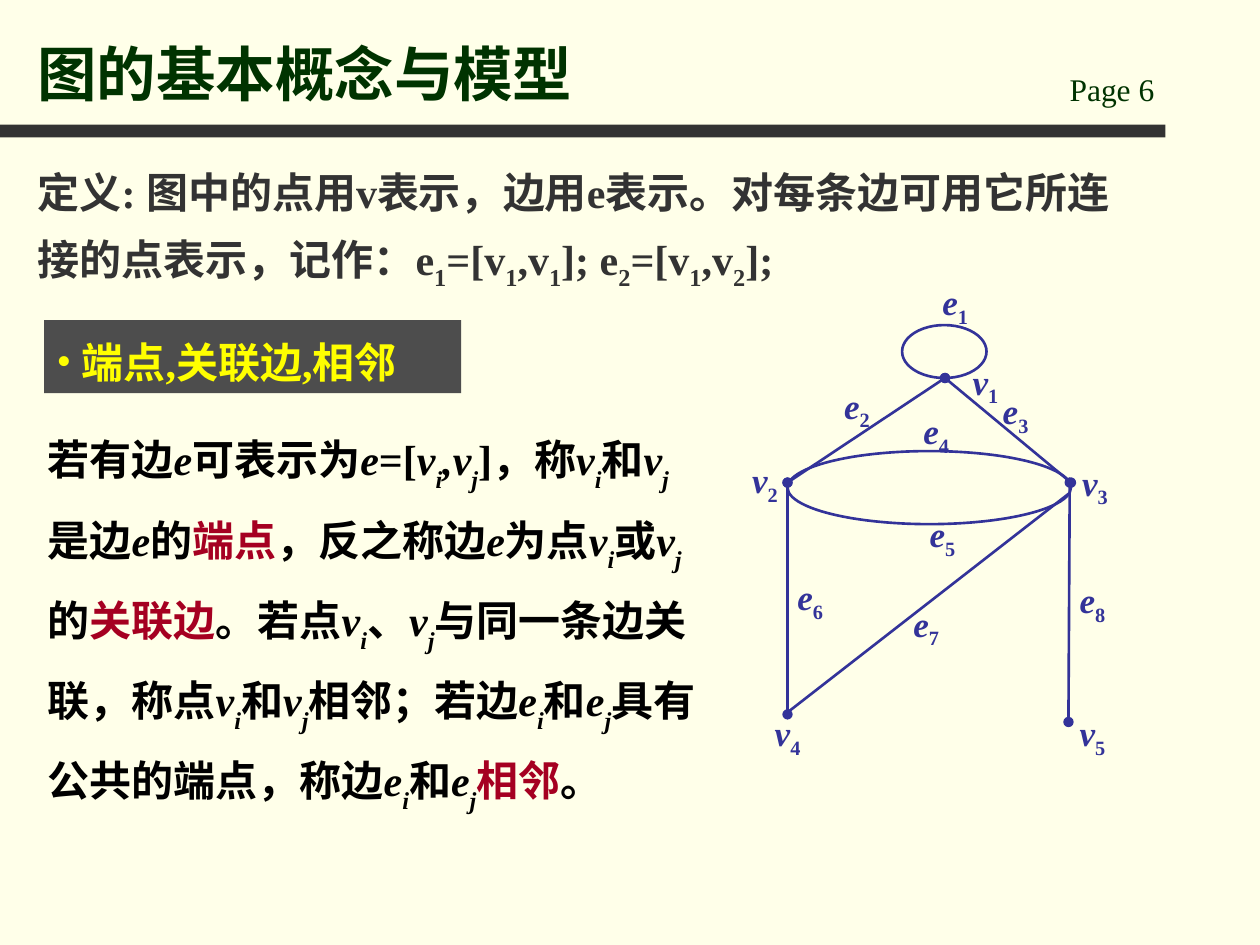
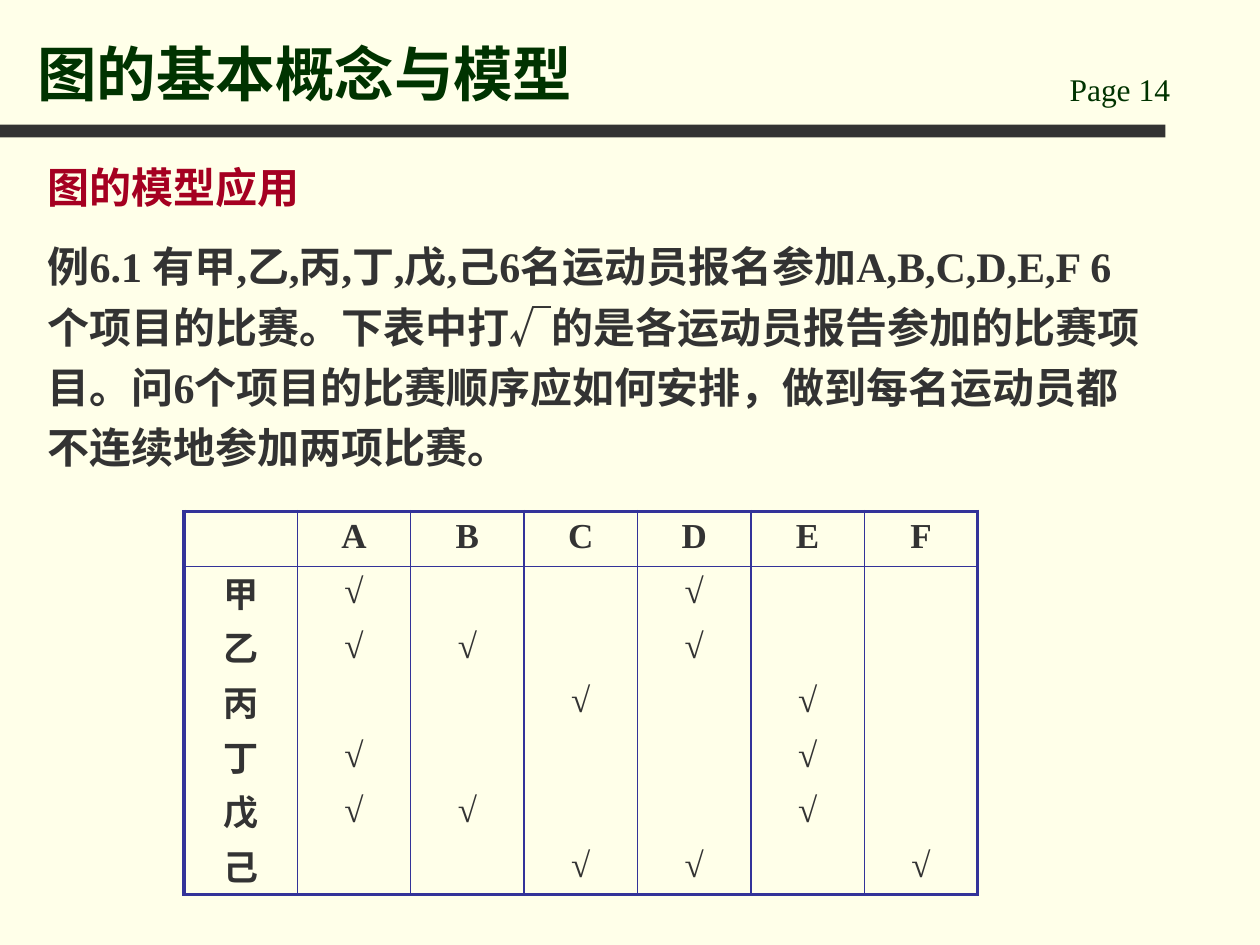
from itertools import groupby

from pptx import Presentation
from pptx.dml.color import RGBColor
from pptx.enum.lang import MSO_LANGUAGE_ID as Language
from pptx.enum.shapes import MSO_CONNECTOR as Connector, MSO_SHAPE as Shape
from pptx.enum.text import MSO_ANCHOR as Anchor, PP_ALIGN as Align
from pptx.oxml.ns import qn
from pptx.util import Inches, Pt
from lxml.etree import SubElement

FONT = "Times New Roman"
CREAM = RGBColor(0xFF, 0xFF, 0xE9)
GREEN = RGBColor(0x00, 0x33, 0x00)
CHARCOAL = RGBColor(0x33, 0x33, 0x33)
GRAY = RGBColor(0x4D, 0x4D, 0x4D)
YELLOW = RGBColor(0xFF, 0xFF, 0x00)
BLACK = RGBColor(0x00, 0x00, 0x00)
RED = RGBColor(0xA5, 0x00, 0x21)
BLUE = RGBColor(0x33, 0x33, 0x99)

# Markup: *italic*, _ lowers the next character, {red}
TITLE = "图的基本概念与模型"
DEFINITION = ("定义: 图中的点用v表示，边用e表示。对每条边可用它所连接的点表示，"
              "记作：e_1=[v_1,v_1]; e_2=[v_1,v_2];")
TERMS = "端点,关联边,相邻"
ADJACENCY = ("若有边*e*可表示为*e*=[*v_i,v_j*]，称*v_i*和*v_j*是边*e*的{端点}，"
             "反之称边*e*为点*v_i*或*v_j*的{关联边}。若点*v_i*、*v_j*与同一条边关联，"
             "称点*v_i*和*v_j*相邻；若边*e_i*和*e_j*具有公共的端点，"
             "称边*e_i*和*e_j*{相邻}。")
APPLICATION = "图的模型应用"
EXAMPLE = ("例6.1 有甲,乙,丙,丁,戊,己6名运动员报名参加A,B,C,D,E,F 6个项目的比赛。"
           "下表中打√的是各运动员报告参加的比赛项目。问6个项目的比赛顺序应如何安排，"
           "做到每名运动员都不连续地参加两项比赛。")

V1, V2, V3, V4, V5 = (7.5, 3), (6.25, 3.83), (8.5, 3.83), (6.25, 5.67), (8.48, 5.73)
DOTTED_EDGES = [(V1, V2), (V1, V3), (V2, V4), ((8.49, 3.83), V5)]
E7_ENDS = (8.48, 3.92), (6.23, 5.67)
LOOPS = [(7.16, 2.58, 0.67, 0.42), (6.25, 3.58, 2.25, 0.58)]
LABELS = {"e1": (7.38, 2.18), "e2": (6.6, 3), "e3": (7.86, 3.04),
          "e4": (7.23, 3.2), "e5": (7.28, 4.02), "e6": (6.23, 4.52),
          "e7": (7.15, 4.73), "e8": (8.47, 4.54), "v1": (7.62, 2.81),
          "v2": (5.87, 3.59), "v3": (8.49, 3.61), "v4": (6.05, 5.6),
          "v5": (8.47, 5.6)}

EVENTS = "ABCDEF"
ENTRIES = {"甲": "AD", "乙": "ABD", "丙": "CE", "丁": "AE", "戊": "ABE", "己": "CDF"}
TABLE_PLACE = 1.46, 4.06, 6.3, 3.04
THIN, THICK = 1, 2.25


def inches(*lengths):
    return [Inches(length) for length in lengths]


def styled_characters(markup):
    """Yield each character with its (italic, lowered, red) state."""
    italic = lowered = red = False
    for char in markup:
        if char == "*":
            italic = not italic
        elif char == "_":
            lowered = True
        elif char in "{}":
            red = char == "{"
        else:
            yield char, (italic, lowered, red)
            lowered = False


def write(para, markup, size, color, bold=True, spacing=None, drop=-25):
    if spacing:
        para.line_spacing = spacing
    for style, group in groupby(styled_characters(markup), key=lambda pair: pair[1]):
        italic, lowered, red = style
        span = para.add_run()
        span.text = "".join(char for char, _ in group)
        font = span.font
        font.name, font.size, font.bold, font.italic = FONT, Pt(size), bold, italic
        font.color.rgb = RED if red else color
        font.language_id = Language.SIMPLIFIED_CHINESE
        if lowered:
            span._r.get_or_add_rPr().set("baseline", str(drop * 1000))


def add_text(page, place, markup, size, color, wrap=True, anchor=Anchor.TOP, **options):
    box = page.shapes.add_textbox(*inches(*place))
    frame = box.text_frame
    frame.word_wrap, frame.vertical_anchor = wrap, anchor
    write(frame.paragraphs[0], markup, size, color, **options)


def add_bar(page, place, color):
    bar = page.shapes.add_shape(Shape.RECTANGLE, *inches(*place))
    bar.shadow.inherit = False
    bar.fill.solid()
    bar.fill.fore_color.rgb = color
    bar.line.fill.background()
    return bar


def add_page(deck, number):
    page = deck.slides.add_slide(deck.slide_layouts[6])
    page.background.fill.solid()
    page.background.fill.fore_color.rgb = CREAM
    add_bar(page, (0, 0.99, 9.25, 0.1), CHARCOAL)
    add_text(page, (8.39, 0.51, 1.42, 0.4), f"Page {number}", 18, GREEN, bold=False)
    add_text(page, (0.2, 0.13, 8.03, 0.78), TITLE, 34, GREEN, anchor=Anchor.BOTTOM)
    return page


def add_edge(page, start, end, dotted):
    edge = page.shapes.add_connector(Connector.STRAIGHT, *inches(*start, *end))
    edge.line.color.rgb, edge.line.width = BLUE, Pt(1.5)
    if dotted:
        for tag in ("a:headEnd", "a:tailEnd"):
            SubElement(edge.line._get_or_add_ln(), qn(tag)).set("type", "oval")
    SubElement(edge._element.spPr, qn("a:effectLst"))


def draw_graph(page):
    for place in LOOPS:
        loop = page.shapes.add_shape(Shape.OVAL, *inches(*place))
        loop.shadow.inherit = False
        loop.fill.background()
        loop.line.color.rgb, loop.line.width = BLUE, Pt(1.5)
    add_edge(page, *E7_ENDS, dotted=False)
    for start, end in DOTTED_EDGES:
        add_edge(page, start, end, dotted=True)
    for (letter, index), corner in LABELS.items():
        add_text(page, (*corner, 0.41, 0.43), f"*{letter}*_{index}", 20, BLUE, wrap=False)


def add_terms(page):
    bar = add_bar(page, (0.35, 2.54, 3.31, 0.58), GRAY)
    bar.text_frame.vertical_anchor = Anchor.TOP
    para = bar.text_frame.paragraphs[0]
    para.alignment = Align.LEFT
    para.line_spacing = 1.2
    properties = para._p.get_or_add_pPr()
    indent = Inches(0.2)
    properties.set("marL", str(indent))
    properties.set("indent", str(-indent))
    SubElement(properties, qn("a:buFont")).set("typeface", FONT)
    SubElement(properties, qn("a:buChar")).set("char", "•")
    write(para, TERMS, 24, YELLOW)


def set_borders(cell, widths):
    """Draw left, right, top and bottom borders; a width of 0 hides one."""
    properties = cell._tc.get_or_add_tcPr()
    for index, (side, width) in enumerate(zip("LRTB", widths)):
        border = properties.makeelement(qn(f"a:ln{side}"), {"w": str(Pt(width))})
        if width:
            fill = SubElement(border, qn("a:solidFill"))
            SubElement(fill, qn("a:srgbClr")).set("val", str(BLUE))
        else:
            SubElement(border, qn("a:noFill"))
        properties.insert(index, border)


def add_entry_table(page):
    rows = [["", *EVENTS]]
    rows += [[name, *("√" if event in chosen else "" for event in EVENTS)]
             for name, chosen in ENTRIES.items()]
    last_row, last_column = len(rows) - 1, len(EVENTS)
    table = page.shapes.add_table(len(rows), len(rows[0]), *inches(*TABLE_PLACE)).table
    table.first_row = table.horz_banding = False
    for r, values in enumerate(rows):
        for c, value in enumerate(values):
            cell = table.cell(r, c)
            cell.fill.background()
            cell.vertical_anchor = Anchor.MIDDLE
            para = cell.text_frame.paragraphs[0]
            para.alignment = Align.CENTER
            write(para, value, 20, CHARCOAL, spacing=0.85)
            set_borders(cell, (THIN if c else THICK,
                               THICK if c == last_column else THIN,
                               {0: THICK, 1: THIN}.get(r, 0),
                               {0: THIN, last_row: THICK}.get(r, 0)))


def main():
    deck = Presentation()
    deck.slide_width, deck.slide_height = inches(10, 7.5)

    page = add_page(deck, 6)
    add_text(page, (0.2, 1.15, 8.9, 1.5), DEFINITION, 24, CHARCOAL, spacing=1.3)
    draw_graph(page)
    add_terms(page)
    add_text(page, (0.28, 3.23, 5.35, 2.8), ADJACENCY, 24, BLACK, spacing=1.35, drop=-30)

    page = add_page(deck, 14)
    add_text(page, (0.28, 1.15, 4.25, 0.63), APPLICATION, 24, RED, spacing=1.2)
    add_text(page, (0.28, 1.78, 8.9, 2.02), EXAMPLE, 24, CHARCOAL, spacing=1.2)
    add_entry_table(page)

    deck.save("out.pptx")


if __name__ == "__main__":
    main()
